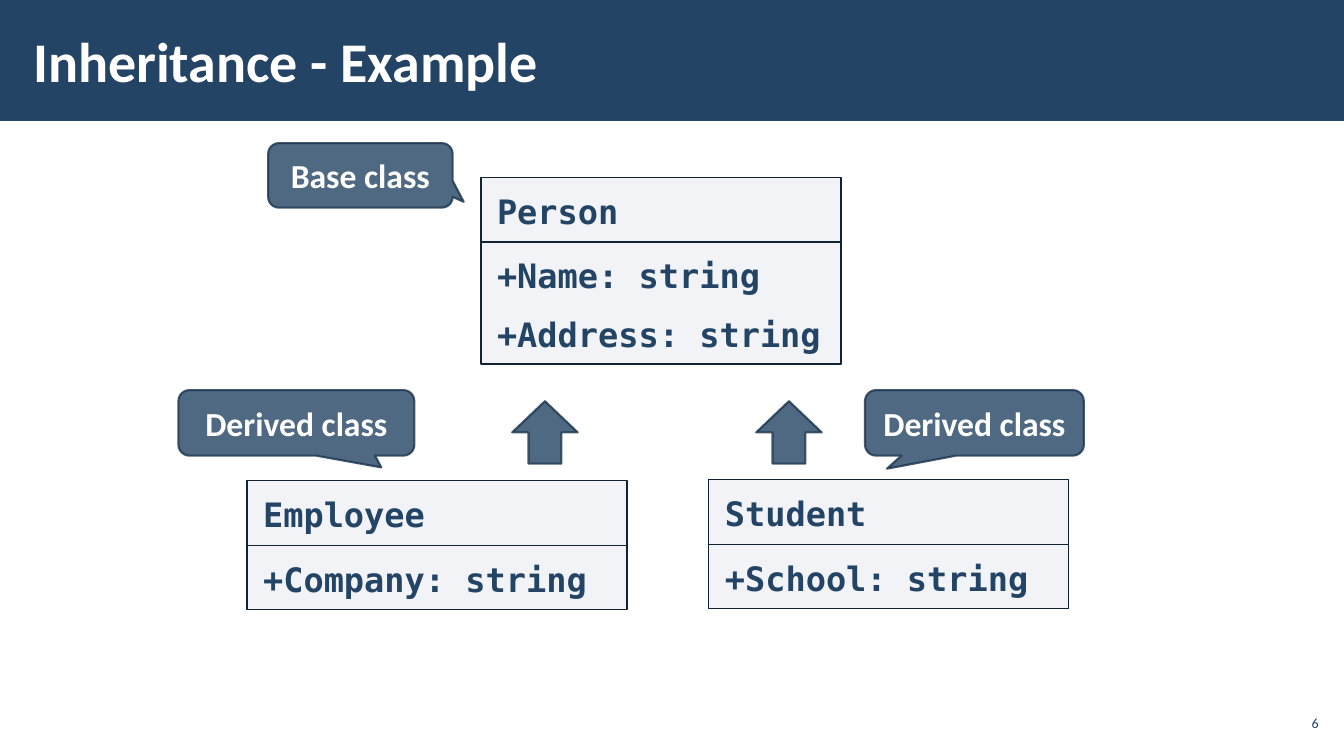
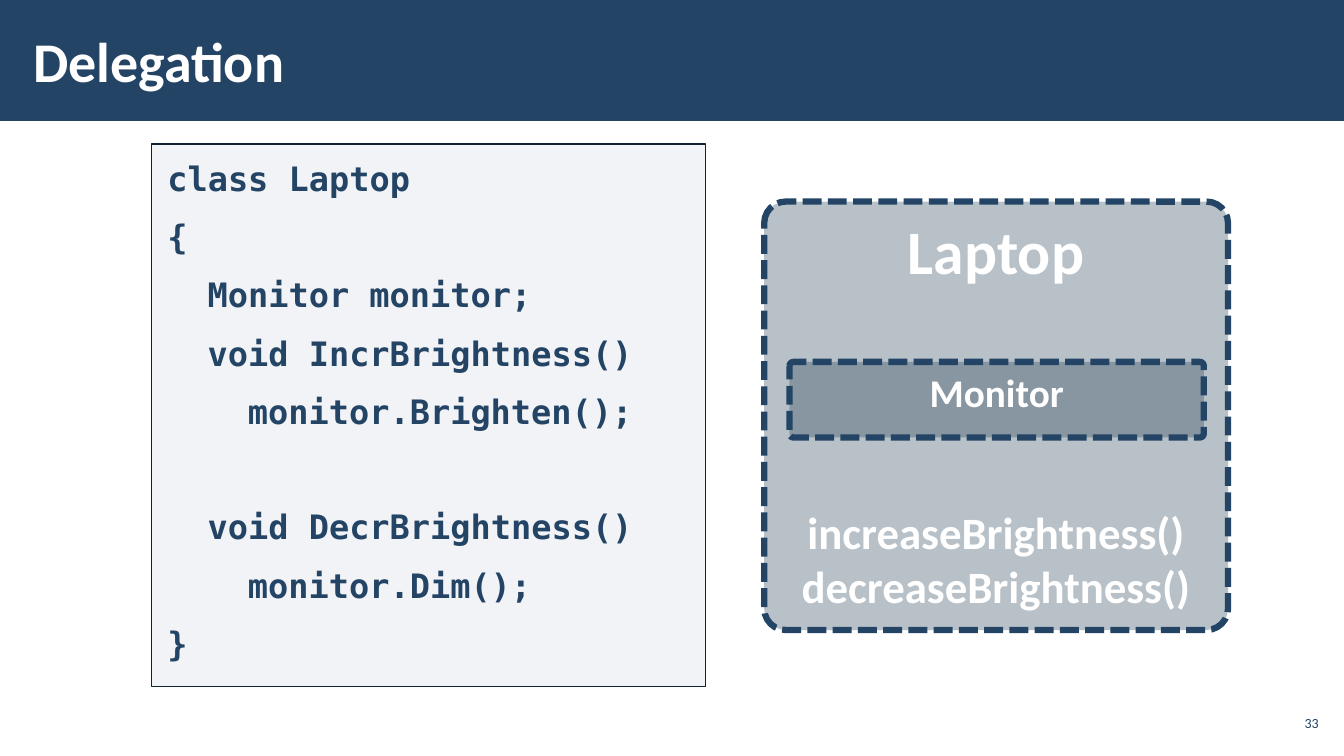
from pptx import Presentation
from pptx.dml.color import RGBColor
from pptx.enum.dml import MSO_LINE
from pptx.enum.shapes import MSO_SHAPE as Kind
from pptx.enum.text import MSO_ANCHOR as Anchor, PP_ALIGN as Align
from pptx.oxml.ns import qn
from pptx.util import Inches, Pt
from lxml.etree import SubElement

NAVY = RGBColor(0x23, 0x44, 0x65)
DARK = RGBColor(0x1A, 0x33, 0x4C)
INK = RGBColor(0x11, 0x22, 0x33)
MIST = RGBColor(0xAD, 0xB4, 0xC3)
WHITE = RGBColor(0xFF, 0xFF, 0xFF)
SANS, MONO = "Calibri", "DejaVu Sans Mono"

# fill, its opacity, line, its opacity, line width
BAND = (NAVY, 100, None, 100, 0)
CODE = (MIST, 15, INK, 100, 1)
NOTE = (NAVY, 80, DARK, 80, 1.5)
PART = (DARK, 30, NAVY, 100, 4.5)


def draw(shapes, kind, box, style, adj=()):
    """Add a preset shape with one of the fill and line styles."""
    fill, alpha, line, clear, width = style
    shape = shapes.add_shape(kind, *map(Inches, box))
    shape.shadow.inherit = False
    for i, value in enumerate(adj):
        shape.adjustments[i] = value
    paints = [(shape.fill, fill, alpha)]
    if line is None:
        shape.line.fill.background()
    else:
        paints.append((shape.line.fill, line, clear))
        shape.line.width = Pt(width)
    for paint, color, part in paints:
        paint.solid()
        paint.fore_color.rgb = color
    for (paint, color, part), solid in zip(paints, shape.element.spPr.iter(qn("a:solidFill"))):
        if part < 100:
            SubElement(solid[0], qn("a:alpha")).set("val", str(part * 1000))
    return shape


def write(shape, lines, font, color, bold=True, align=Align.CENTER,
          anchor=Anchor.MIDDLE, pad=(0.1, 0.05)):
    """Fill a shape with lines of (text, size, space before, indent)."""
    frame = shape.text_frame
    frame.word_wrap = True
    frame.vertical_anchor = anchor
    frame.margin_left = frame.margin_right = Inches(pad[0])
    frame.margin_top = frame.margin_bottom = Inches(pad[1])
    for i, (text, size, before, indent) in enumerate(lines):
        para = frame.add_paragraph() if i else frame.paragraphs[0]
        para.alignment = align
        para.space_before = Pt(before)
        if font == MONO:
            para.space_after = Pt(6)
            para.line_spacing = 1.03
        if indent:
            para._p.get_or_add_pPr().set("marL", str(Inches(indent)))
        run = para.add_run()
        run.text = text
        run.font.name = font
        run.font.size = Pt(size)
        run.font.bold = bold
        run.font.color.rgb = color


code = dict(font=MONO, color=NAVY, align=Align.LEFT, anchor=Anchor.TOP, pad=(0.16, 0.12))

deck = Presentation()
deck.slide_width, deck.slide_height = Inches(13.33), Inches(7.5)

slides = []
for title, page in [("Inheritance - Example", "6"), ("Delegation", "33")]:
    slide = deck.slides.add_slide(deck.slide_layouts[6])
    draw(slide.shapes, Kind.RECTANGLE, (0, 0, 13.33, 1.2), BAND)
    head = slide.shapes.add_textbox(*map(Inches, (0.21, 0.11, 10.39, 0.97)))
    write(head, [(title, 40, 0, 0)], SANS, WHITE, align=Align.LEFT, pad=(0.12, 0.04))
    foot = slide.shapes.add_textbox(*map(Inches, (12.65, 7, 0.47, 0.34)))
    write(foot, [(page, 10, 0, 0)], SANS, NAVY, bold=False, align=Align.RIGHT, pad=(0.04, 0.04))
    slides.append(slide.shapes)
tree, split = slides

# Inheritance: class boxes, notes and arrows
ROW, STEP = 0.64, 0.57
for left, top, width, name, fields in [
    (4.77, 1.76, 3.57, "Person", ["+Name: string", "+Address: string"]),
    (2.45, 4.77, 3.77, "Employee", ["+Company: string"]),
    (7.03, 4.76, 3.57, "Student", ["+School: string"]),
]:
    group = tree.add_group_shape().shapes
    for rows in ([name], fields):
        high = ROW + STEP * (len(rows) - 1)
        cell = draw(group, Kind.RECTANGLE, (left, top, width, high), CODE)
        write(cell, [(row, 24, 6, 0) for row in rows], **code)
        top += high

for text, box, tip in [
    ("Derived class", (1.77, 3.87, 2.34, 0.65), (0.36, 0.68)),
    ("Derived class", (8.58, 3.87, 2.17, 0.65), (-0.4, 0.7)),
    ("Base class", (2.66, 1.42, 1.83, 0.64), (0.56, 0.41)),
]:
    note = draw(tree, Kind.ROUNDED_RECTANGULAR_CALLOUT, box, NOTE, tip)
    write(note, [(text, 24, 0, 0)], SANS, WHITE)

for left in (5.08, 7.5):
    draw(tree, Kind.UP_ARROW, (left, 3.98, 0.65, 0.62), NOTE)

# Delegation: code and the nested parts
TAB = 0.4
source = [
    ("class Laptop", 0, 6),
    ("{", 0, 6),
    ("Monitor monitor;", 1, 6),
    ("void IncrBrightness()", 1, 6),
    ("monitor.Brighten();", 2, 6),
    ("void DecrBrightness()", 1, 46.8),
    ("monitor.Dim();", 2, 6),
    ("}", 0, 6),
]
panel = draw(split, Kind.RECTANGLE, (1.5, 1.43, 5.5, 5.38), CODE)
write(panel, [(text, 24, gap, TAB * depth) for text, depth, gap in source], **code)

group = split.add_group_shape().shapes
for box, lines in [
    ((7.58, 2, 4.6, 4.25), [("Laptop", 44, 0, 0), ("increaseBrightness()", 32, 156, 0),
                            ("decreaseBrightness()", 32, 0, 0)]),
    ((7.83, 3.59, 4.11, 0.75), [("Monitor", 28, 0, 0)]),
]:
    part = draw(group, Kind.ROUNDED_RECTANGLE, box, PART, [0.05])
    part.line.dash_style = MSO_LINE.SQUARE_DOT
    write(part, lines, SANS, WHITE, anchor=Anchor.TOP)

deck.save("out.pptx")
